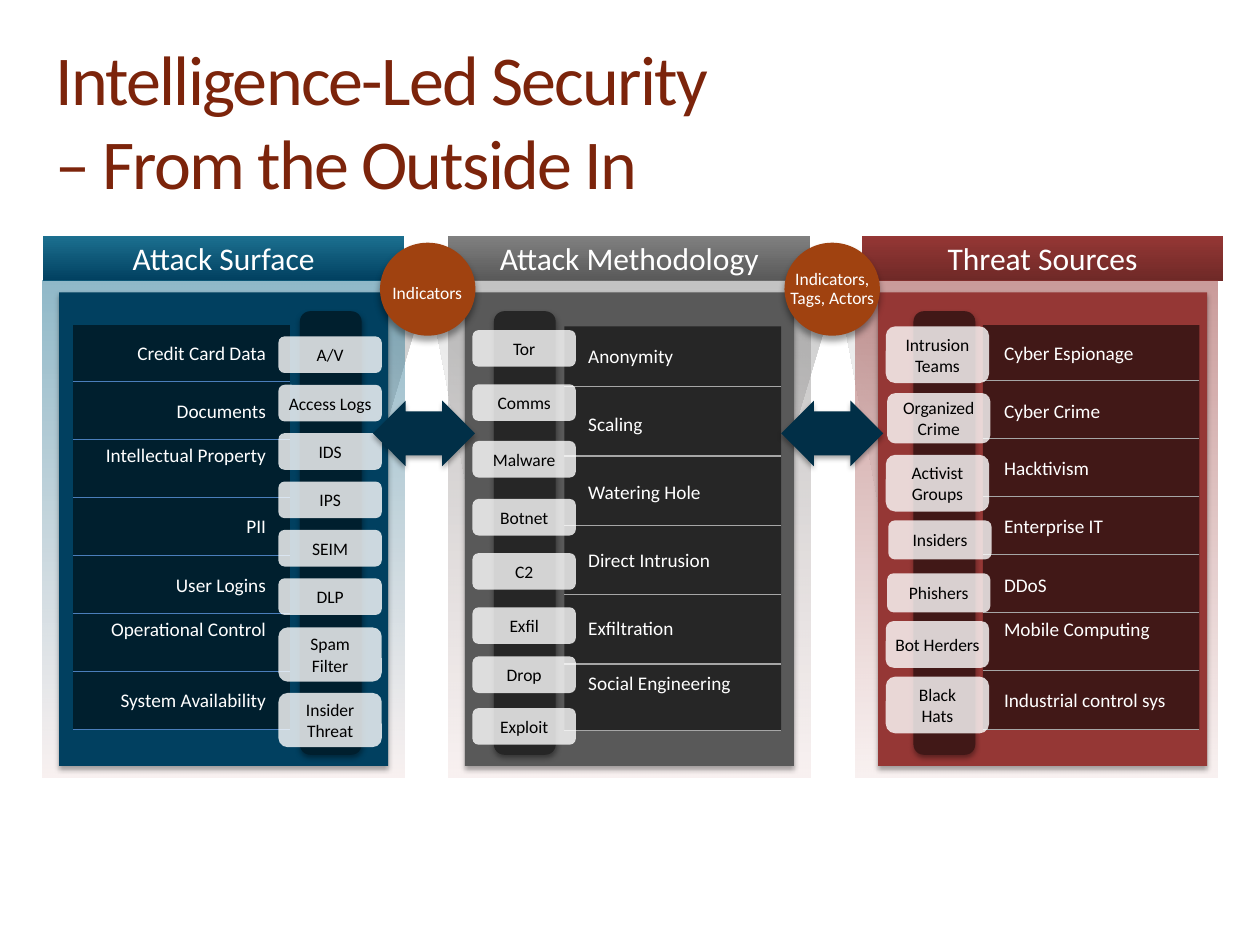
from dataclasses import dataclass
from pptx import Presentation
from pptx.dml.color import RGBColor
from pptx.enum.shapes import MSO_CONNECTOR, MSO_SHAPE
from pptx.enum.text import MSO_ANCHOR, PP_ALIGN
from pptx.oxml.ns import qn
from pptx.util import Inches, Pt
from lxml.etree import SubElement


@dataclass(frozen=True)
class Theme:
    font: str = "Calibri"
    title: int = 40
    head: int = 18
    item: int = 11
    tab: int = 10
    white: str = "FFFFFF"
    black: str = "000000"
    brick: str = "7C240B"
    rust: str = "A04210"
    navy: str = "012F47"
    blush: str = "F1E1E0"
    mist: str = "979797"
    blue: str = "4A7EBB"
    gray: str = "A6A6A6"
    sea: tuple = ("014060", "1C7090", "014060", "001F2E")
    wine: tuple = ("6F2927", "953735", "953735", "411817")
    slate: tuple = ("595959", "808080", "595959", "262626")


@dataclass(frozen=True)
class Panel:
    head: str
    tones: tuple
    rule: str
    fade: int
    lefts: tuple
    top: float
    first: float
    step: float
    align: PP_ALIGN
    items: tuple
    tabs: tuple


class Board:
    def __init__(self, deck, theme):
        self.slide = deck.slides.add_slide(deck.slide_layouts[6])
        self.theme = theme
        self.unit = deck.slide_width / 10

    def grid(self, *cells):
        return [round(cell * self.unit) for cell in cells]

    def clear(self, shape, alphas):
        colors = shape._element.spPr.xpath("./a:solidFill/a:srgbClr | ./a:gradFill//a:srgbClr")
        for color, alpha in zip(colors, alphas):
            SubElement(color, qn("a:alpha"), val=str(alpha * 1000))

    def blend(self, shape, tones, angle, alphas=()):
        fill = shape.fill
        fill.gradient()
        fill.gradient_angle = angle
        for stop, tone, spot in zip(fill.gradient_stops, tones, (0, 1)):
            stop.color.rgb = RGBColor.from_string(tone)
            stop.position = spot
        self.clear(shape, alphas)

    def shade(self, shape, alpha, blur, dist):
        root = shape._element.spPr.find(qn("a:effectLst"))
        glow = SubElement(root, qn("a:outerShdw"), blurRad=str(Pt(blur)), dist=str(Pt(dist)),
                          dir="5400000", algn="ctr", rotWithShape="0")
        color = SubElement(glow, qn("a:srgbClr"), val=self.theme.black)
        SubElement(color, qn("a:alpha"), val=str(alpha * 1000))

    def block(self, kind, box, color=None):
        shape = self.slide.shapes.add_shape(kind, *self.grid(*box))
        shape.shadow.inherit = False
        shape.line.fill.background()
        if color:
            shape.fill.solid()
            shape.fill.fore_color.rgb = RGBColor.from_string(color)
        return shape

    def words(self, shape, text, size, color, align=PP_ALIGN.CENTER, lead=None, track=0):
        frame = shape.text_frame
        for spot, line in enumerate(text.split("\n")):
            para = frame.add_paragraph() if spot else frame.paragraphs[0]
            para.alignment = align
            if lead:
                para.line_spacing = Pt(lead)
            run = para.add_run()
            run.text = line
            run.font.name = self.theme.font
            run.font.size = Pt(size)
            run.font.color.rgb = RGBColor.from_string(color)
            if track:
                run._r.get_or_add_rPr().set("spc", str(track * 100))

    def label(self, box, text, size, color, align=PP_ALIGN.LEFT, wrap=True,
              anchor=MSO_ANCHOR.TOP, **style):
        shape = self.slide.shapes.add_textbox(*self.grid(*box))
        shape.text_frame.word_wrap = wrap
        shape.text_frame.vertical_anchor = anchor
        self.words(shape, text, size, color, align, **style)

    def rule(self, left, right, top, color):
        line = self.slide.shapes.add_connector(MSO_CONNECTOR.STRAIGHT, *self.grid(left, top, right, top))
        line.line.color.rgb = RGBColor.from_string(color)
        line.line.width = Pt(0.75)
        SubElement(line._element.spPr, qn("a:effectLst"))

    def cone(self, wide, far, tip, low):
        first, *rest = [self.grid(*spot) for spot in
                        ((wide, 2.65), (far, 2.29), (tip, low), (wide, 2.66))]
        maker = self.slide.shapes.build_freeform(*first, scale=1.0)
        maker.add_line_segments(rest, close=True)
        shape = maker.convert_to_shape()
        shape.shadow.inherit = False
        shape.line.fill.background()
        self.blend(shape, (self.theme.mist, self.theme.white), 225, (47, 47))

    def tab(self, left, top, high, text):
        shape = self.block(MSO_SHAPE.ROUNDED_RECTANGLE, (left, top, 0.82, high), self.theme.white)
        self.clear(shape, (80,))
        frame = shape.text_frame
        frame.word_wrap = True
        frame.margin_left = frame.margin_right = frame.margin_top = frame.margin_bottom = Inches(0.02)
        self.words(shape, text, self.theme.tab, self.theme.black)

    def panel(self, part):
        look = self.theme
        head, back, core, rows, names, rail, tabs = part.lefts
        deep, light, main, dark = part.tones
        bar = self.block(MSO_SHAPE.RECTANGLE, (head, 1.87, 2.87, 0.36))
        self.blend(bar, (deep, light), 90)
        self.words(bar, part.head, look.head, look.white)
        wash = self.block(MSO_SHAPE.RECTANGLE, (back, 2.23, 2.87, 3.94))
        self.blend(wash, (light, look.blush), 270, (part.fade, 46))
        body = self.block(MSO_SHAPE.RECTANGLE, (core, 2.32, 2.61, 3.76), main)
        self.shade(body, 35, 3.1, 1.8)
        self.block(MSO_SHAPE.RECTANGLE, (rows, part.top, 1.72, 3.21), dark)
        for spot, (text, top) in enumerate(part.items):
            self.label((names, top, 1.72, 0.29), text, look.item, look.white, part.align)
            last = spot == len(part.items) - 1
            self.rule(rows, rows + 1.72, part.top + 3.21 if last else part.first + spot * part.step, part.rule)
        post = self.block(MSO_SHAPE.ROUNDED_RECTANGLE, (rail, 2.47, 0.49, 3.52), dark)
        self.shade(post, 38, 3.1, 1.6)
        for text, top, high, *nudge in part.tabs:
            self.tab(tabs + sum(nudge), top, high, text)

    def link(self, left, point, box, text, lead=None):
        look = self.theme
        disc = self.block(MSO_SHAPE.OVAL, (left, 1.94, 0.73, 0.71), look.rust)
        disc.line.color.rgb = RGBColor.from_string(look.rust)
        disc.line.width = Pt(2)
        self.shade(disc, 40, 4, 3)
        self.label(box, text, look.tab, look.white, PP_ALIGN.CENTER, False, lead=lead)
        arrow = self.block(MSO_SHAPE.LEFT_RIGHT_ARROW, (point, 3.18, 0.81, 0.52), look.navy)
        arrow.adjustments[0] = 0.67
        arrow.adjustments[1] = 0.5
        self.shade(arrow, 35, 3.1, 1.8)


def main():
    deck = Presentation()
    deck.slide_width, deck.slide_height = Inches(10), Inches(7.5)
    look = Theme()
    board = Board(deck, look)
    short = ("A/V", "Access Logs", "IDS", "IPS", "SEIM", "DLP")
    surface = Panel(
        "Attack Surface", look.sea, look.blue, 49,
        (0.34, 0.34, 0.47, 0.58, 0.49, 2.38, 2.21), 2.58, 3.03, 0.46, PP_ALIGN.RIGHT,
        (("Credit Card Data", 2.66), ("Documents", 3.12), ("Intellectual Property", 3.47), ("PII", 4.03),
         ("User Logins", 4.5), ("Operational Control", 4.85), ("System Availability", 5.41)),
        (*((text, 2.67 + spot * 1.92 / 5, 0.29) for spot, text in enumerate(short)),
         ("Spam\nFilter", 4.98, 0.43), ("Insider Threat", 5.5, 0.43)))
    threat = Panel(
        "Threat Sources", look.wine, look.gray, 50,
        (6.84, 6.79, 6.97, 7.8, 7.87, 7.25, 7.03), 2.58, 3.02, 0.46, PP_ALIGN.LEFT,
        (("Cyber Espionage", 2.66), ("Cyber Crime", 3.12), ("Hacktivism", 3.57), ("Enterprise IT", 4.03),
         ("DDoS", 4.5), ("Mobile Computing", 4.85), ("Industrial control sys", 5.41)),
        (("Intrusion Teams", 2.59, 0.45), ("Organized Crime", 3.12, 0.4, 0.01), ("Activist Groups", 3.61, 0.45),
         ("Insiders", 4.13, 0.31, 0.02), ("Phishers", 4.55, 0.31, 0.01), ("Bot Herders", 4.93, 0.37),
         ("Black\nHats", 5.37, 0.45)))
    steps = (("Tor", 2.62), ("Comms", 3.05), ("Malware", 3.5), ("Botnet", 3.96),
             ("C2", 4.39), ("Exfil", 4.82), ("Drop", 5.21), ("Exploit", 5.62))
    method = Panel(
        "Attack Methodology", look.slate, look.gray, 47,
        (3.56, 3.56, 3.69, 4.48, 4.57, 3.92, 3.75), 2.59, 3.07, 0.55, PP_ALIGN.LEFT,
        (("Anonymity", 2.68), ("Scaling", 3.22), ("Watering Hole", 3.76), ("Direct Intrusion", 4.3),
         ("Exfiltration", 4.84), ("Social Engineering", 5.28)),
        tuple((text, top, 0.29) for text, top in steps))
    board.cone(0.58, 3.39, 2.72, 4.51)
    board.panel(surface)
    board.cone(9.14, 6.65, 7.06, 4.47)
    board.panel(threat)
    board.cone(3.83, 6.64, 5.97, 4.51)
    board.cone(5.89, 3.4, 3.82, 4.47)
    board.panel(method)
    board.link(3.03, 2.96, (2.99, 2.19, 0.8, 0.27), "Indicators")
    board.link(6.24, 6.2, (6.14, 2.09, 0.93, 0.41), "Indicators,\nTags, Actors", 11)
    board.label((0.34, 0.64, 9.86, 0.62), "Intelligence-Led Security\n– From the Outside In",
                look.title, look.brick, anchor=MSO_ANCHOR.MIDDLE, track=-1)
    deck.save("out.pptx")


if __name__ == "__main__":
    main()
